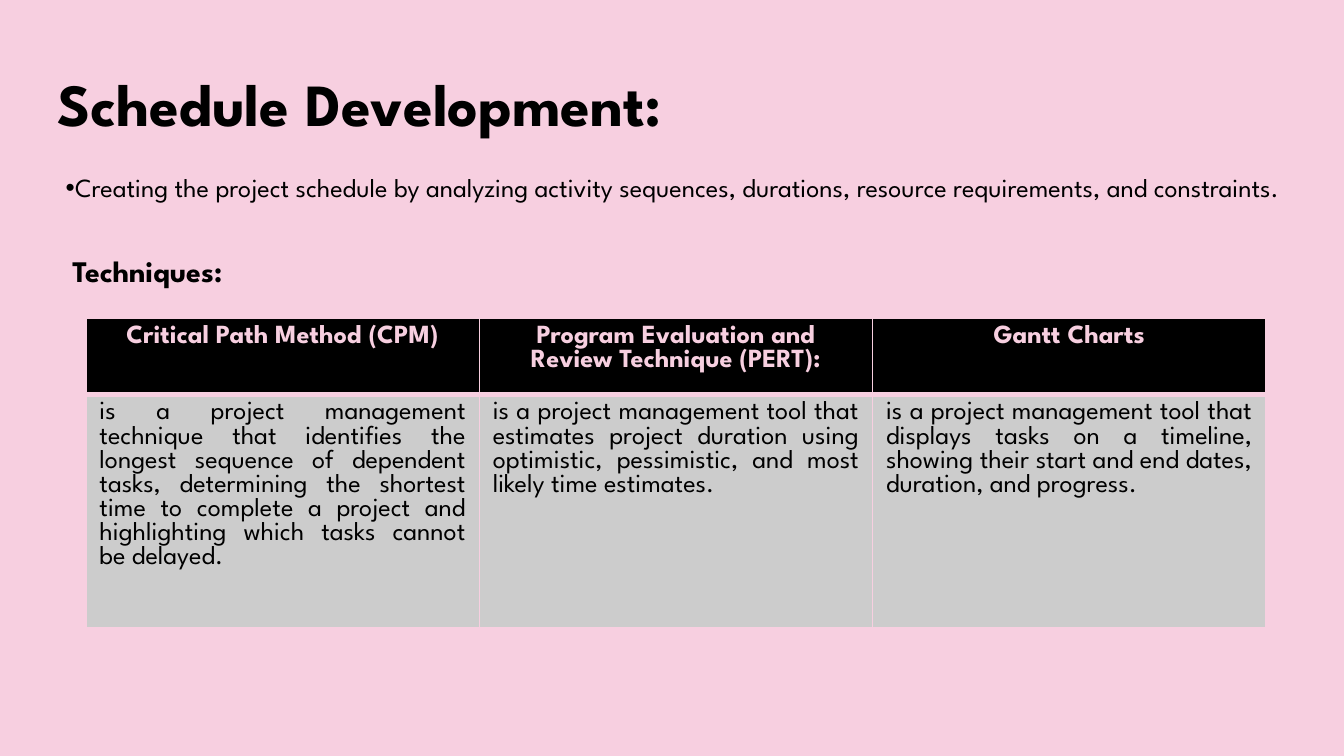
from lxml.etree import SubElement
from pptx import Presentation
from pptx.dml.color import RGBColor
from pptx.enum.text import MSO_ANCHOR as Anchor, PP_ALIGN as Align
from pptx.oxml.ns import qn
from pptx.util import Inches, Pt

PINK, BLACK, GREY = "F7CFE0", "000000", "CCCCCC"
WIDTH = 10
HEIGHT = WIDTH * 9 / 16
COLUMNS = 100

TECHNIQUES = {
    "Critical Path Method (CPM)":
        "is a project management technique that identifies the longest sequence of "
        "dependent tasks, determining the shortest time to complete a project and "
        "highlighting which tasks cannot be delayed.",
    "Program Evaluation and Review Technique (PERT):":
        "is a project management tool that estimates project duration using "
        "optimistic, pessimistic, and most likely time estimates.",
    "Gantt Charts":
        "is a project management tool that displays tasks on a timeline, showing "
        "their start and end dates, duration, and progress.",
}


def color(code):
    return RGBColor.from_string(code)


def grid(units):
    return Inches(units * WIDTH / COLUMNS)


class Slide:
    font = "League Spartan"

    def __init__(self, deck, background):
        self.page = deck.slides.add_slide(deck.slide_layouts[6])
        fill = self.page.background.fill
        fill.solid()
        fill.fore_color.rgb = color(background)

    def style(self, para, size, ink=BLACK, bold=False):
        for span in para.runs:
            span.font.name = self.font
            span.font.size = Pt(size)
            span.font.bold = bold
            span.font.color.rgb = color(ink)
        end = SubElement(para._p, qn("a:endParaRPr"), sz=str(size * 100), b=str(int(bold)))
        SubElement(end, qn("a:latin"), typeface=self.font)

    def text(self, area, words, size, bold=False, spacing=0.9, anchor=Anchor.TOP, bullet=None):
        box = self.page.shapes.add_textbox(*map(grid, area))
        frame = box.text_frame
        frame.word_wrap = True
        frame.vertical_anchor = anchor
        frame.margin_left = frame.margin_right = grid(1)
        frame.margin_top = frame.margin_bottom = grid(1)
        frame.text = words
        para = frame.paragraphs[0]
        para.line_spacing = spacing
        if bullet:
            self.bullet(para, bullet)
        self.style(para, size, bold=bold)

    def bullet(self, para, mark, indent=0.7):
        props = para._p.get_or_add_pPr()
        props.set("marL", str(grid(indent)))
        props.set("indent", str(-grid(indent)))
        SubElement(props, qn("a:buFont"), typeface="Arial")
        SubElement(props, qn("a:buChar"), char=mark)

    def borders(self, cell, ink, widths):
        props = cell._tc.get_or_add_tcPr()
        for side, width in zip("LRTB", widths):
            line = SubElement(props, qn(f"a:ln{side}"), w=str(Pt(width)))
            fill = SubElement(line, qn("a:solidFill"))
            SubElement(fill, qn("a:srgbClr"), val=ink)

    def cell(self, cell, words, align, ink, back, bold, widths):
        cell.text = words
        para = cell.text_frame.paragraphs[0]
        para.alignment = align
        self.style(para, 14, ink, bold)
        self.borders(cell, PINK, widths)
        cell.fill.solid()
        cell.fill.fore_color.rgb = color(back)

    def table(self, left, top, width, row_height, entries):
        area = map(grid, (left, top, width, 2 * row_height))
        table = self.page.shapes.add_table(2, len(entries), *area).table
        for column, (name, meaning) in enumerate(entries.items()):
            self.cell(table.cell(0, column), name, Align.CENTER, PINK, BLACK, True, (1, 1, 1, 3))
            self.cell(table.cell(1, column), meaning, Align.JUSTIFY, BLACK, GREY, False, (1, 1, 3, 1))


def main():
    deck = Presentation()
    deck.slide_width, deck.slide_height = Inches(WIDTH), Inches(HEIGHT)
    slide = Slide(deck, PINK)
    slide.text((3.3, 3.8, 55.4, 7.5), "Schedule Development:", 32,
               bold=True, spacing=1.2, anchor=Anchor.BOTTOM)
    slide.text((3.9, 12, 93.8, 7.5),
               "Creating the project schedule by analyzing activity sequences, durations, "
               "resource requirements, and constraints.", 14, bullet="•")
    slide.text((4.4, 18.1, 18, 4.5), "Techniques:", 16, bold=True)
    slide.table(6.4, 23.7, 87.8, 4.5, TECHNIQUES)
    deck.save("out.pptx")


if __name__ == "__main__":
    main()
